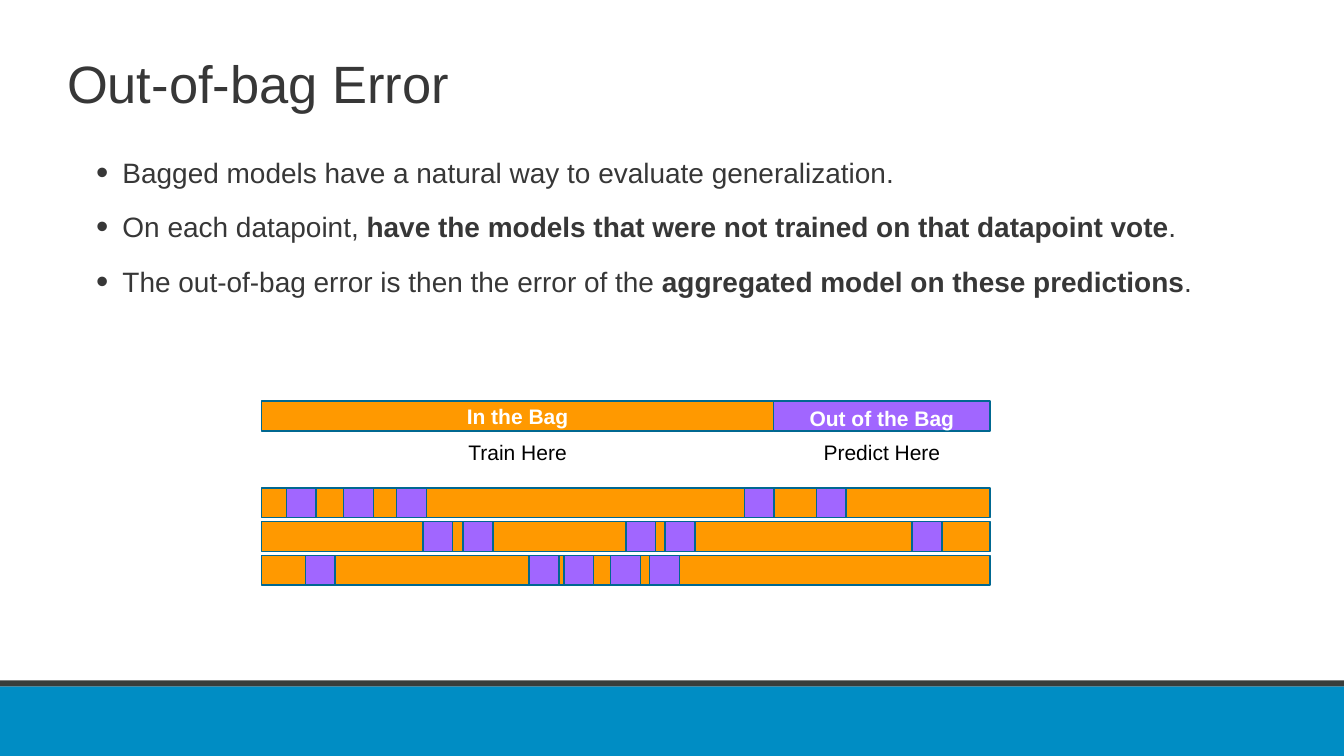
import pptx
import pptx.dml.color
import pptx.enum.shapes
import pptx.enum.text
import pptx.oxml
import pptx.util
from pptx.dml.color import RGBColor
from pptx.enum.text import MSO_ANCHOR, MSO_AUTO_SIZE, PP_ALIGN
from pptx.util import Inches

WHITE = RGBColor(0xFF, 0xFF, 0xFF)
BLACK = RGBColor(0x00, 0x00, 0x00)
INK = RGBColor(0x37, 0x37, 0x37)
FOOTER_BLUE = RGBColor(0x00, 0x8D, 0xC4)
FOOTER_GREY = RGBColor(0x38, 0x3D, 0x3B)
IN_BAG = RGBColor(0xFF, 0x99, 0x00)
OUT_OF_BAG = RGBColor(0xA1, 0x66, 0xFF)
OUTLINE = RGBColor(0x00, 0x68, 0x91)

BAR_LEFT, BAR_WIDTH, BAR_HEIGHT = 5.19, 14.46, 0.59
IN_BAG_WIDTH = 10.16
LEGEND_TOP = 7.96
SAMPLES_TOP, SAMPLE_PITCH = 9.68, 0.67

BULLETS = [
    [("Bagged models have a natural way to evaluate generalization.", False)],
    [("On each datapoint, ", False),
     ("have the models that were not trained on that datapoint vote", True),
     (".", False)],
    [("The out-of-bag error is then the error of the ", False),
     ("aggregated model on these predictions", True),
     (".", False)],
]

HELD_OUT = [
    [5.68, 6.82, 7.87, 14.77, 16.2],
    [8.39, 9.19, 12.42, 13.2, 18.1],
    [6.06, 10.5, 11.19, 12.12, 12.89],
]


def add_bar(slide, left, top, width, height, color, outlined=True):
    bar = slide.shapes.add_shape(
        pptx.enum.shapes.MSO_SHAPE.RECTANGLE,
        Inches(left), Inches(top), Inches(width), Inches(height))
    bar.shadow.inherit = False
    bar.fill.solid()
    bar.fill.fore_color.rgb = color
    if outlined:
        bar.line.color.rgb = OUTLINE
        bar.line.width = pptx.util.Pt(2)
    else:
        bar.line.fill.background()


def add_text_frame(slide, left, top, width, height):
    box = slide.shapes.add_textbox(
        Inches(left), Inches(top), Inches(width), Inches(height))
    box.text_frame.word_wrap = True
    return box.text_frame


def set_margins(frame, margin):
    frame.margin_left = frame.margin_right = Inches(margin)
    frame.margin_top = frame.margin_bottom = Inches(margin)


def add_run(paragraph, text, size, color, bold=False):
    run = paragraph.add_run()
    run.text = text
    run.font.name = "Arial"
    run.font.size = pptx.util.Pt(size)
    run.font.color.rgb = color
    run.font.bold = bold


def set_bullet(paragraph):
    properties = paragraph._p.get_or_add_pPr()
    properties.set("marL", str(Inches(0.52)))
    properties.set("indent", str(Inches(-0.52)))
    for tag, attribute, value in (("a:buSzPct", "val", "125000"),
                                  ("a:buFont", "typeface", "Arial"),
                                  ("a:buChar", "char", "•")):
        bullet = pptx.oxml.xmlchemy.OxmlElement(tag)
        bullet.set(attribute, value)
        properties.append(bullet)


def add_title(slide, text):
    frame = add_text_frame(slide, 1.27, 0.39, 24.79, 2.5)
    set_margins(frame, 0.06)
    frame.vertical_anchor = MSO_ANCHOR.MIDDLE
    add_run(frame.paragraphs[0], text, 75, INK)


def add_bullets(slide, bullets):
    frame = add_text_frame(slide, 1.85, 3.02, 22.97, 8.06)
    set_margins(frame, 0.06)
    for index, parts in enumerate(bullets):
        paragraph = frame.add_paragraph() if index else frame.paragraphs[0]
        paragraph.space_before = pptx.util.Pt(30)
        set_bullet(paragraph)
        for text, bold in parts:
            add_run(paragraph, text, 40, INK, bold)


def add_label(slide, text, left, top, width, color, bold=False):
    frame = add_text_frame(slide, left, top, width, 0.61)
    frame.auto_size = MSO_AUTO_SIZE.SHAPE_TO_FIT_TEXT
    frame.paragraphs[0].alignment = PP_ALIGN.CENTER
    add_run(frame.paragraphs[0], text, 30, color, bold)


def add_legend(slide):
    split = BAR_LEFT + IN_BAG_WIDTH
    out_width = BAR_WIDTH - IN_BAG_WIDTH
    add_bar(slide, BAR_LEFT, LEGEND_TOP, IN_BAG_WIDTH, BAR_HEIGHT, IN_BAG)
    add_bar(slide, split, LEGEND_TOP, out_width, BAR_HEIGHT, OUT_OF_BAG)
    add_label(slide, "In the Bag", 6.87, LEGEND_TOP, 6.8, WHITE, True)
    add_label(slide, "Out of the Bag", split, 7.99, out_width, WHITE, True)
    add_label(slide, "Train Here", 8.63, 8.67, 3.28, BLACK)
    add_label(slide, "Predict Here", 15.86, 8.67, 3.28, BLACK)


def add_samples(slide):
    for row, held_out in enumerate(HELD_OUT):
        top = SAMPLES_TOP + row * SAMPLE_PITCH
        add_bar(slide, BAR_LEFT, top, BAR_WIDTH, BAR_HEIGHT, IN_BAG)
        for left in held_out:
            add_bar(slide, left, top, BAR_HEIGHT, BAR_HEIGHT, OUT_OF_BAG)


def main():
    deck = pptx.Presentation()
    deck.slide_width = Inches(26.67)
    deck.slide_height = Inches(15)
    slide = deck.slides.add_slide(deck.slide_layouts[6])
    add_bar(slide, -0.05, 13.62, 26.76, 1.39, FOOTER_BLUE, outlined=False)
    add_bar(slide, -0.03, 13.5, 26.72, 0.12, FOOTER_GREY, outlined=False)
    add_title(slide, "Out-of-bag Error")
    add_bullets(slide, BULLETS)
    add_legend(slide)
    add_samples(slide)
    deck.save("out.pptx")


if __name__ == "__main__":
    main()
